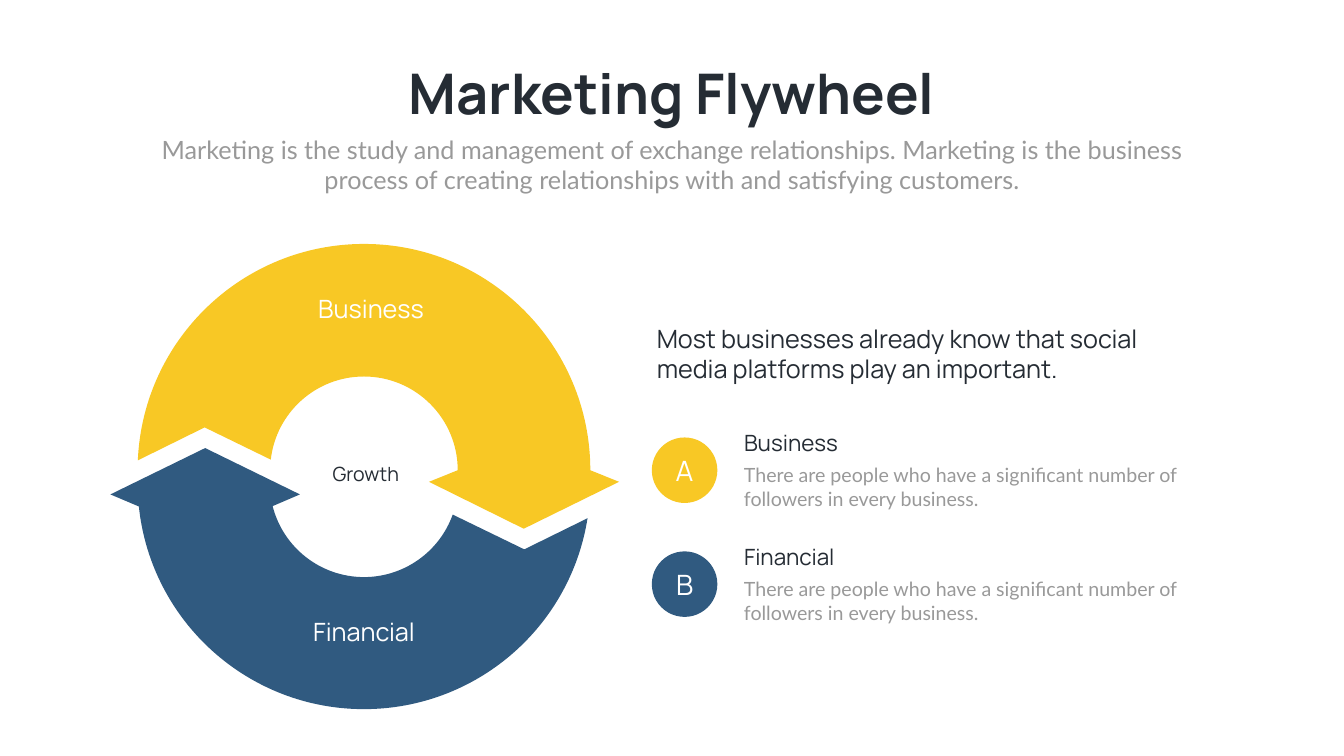
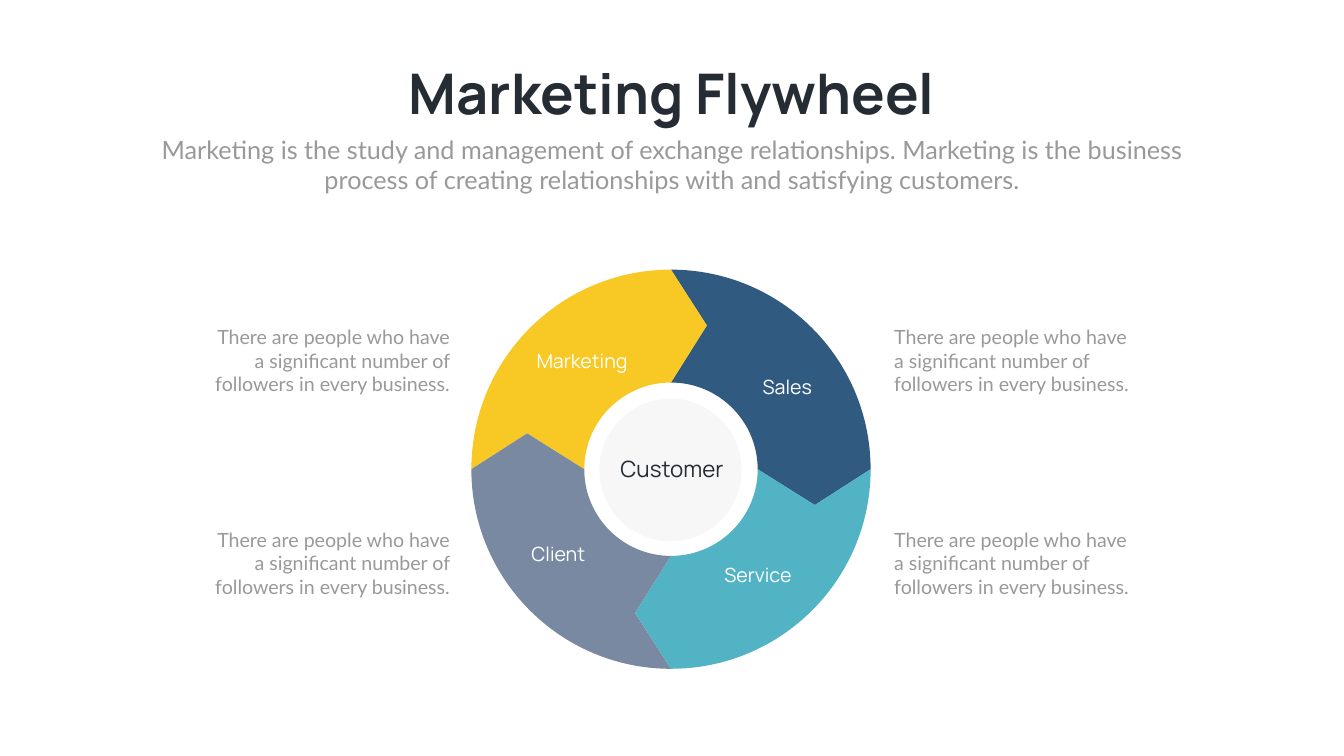
import math
from dataclasses import dataclass
from typing import NamedTuple

import lxml.etree
import pptx
import pptx.dml.color
import pptx.enum.shapes
import pptx.enum.text
import pptx.oxml.ns
import pptx.presentation
import pptx.shapes.autoshape
import pptx.slide
import pptx.text.text
import pptx.util

PX = 9144  # EMU in one px: 100 px to the inch
Align = pptx.enum.text.PP_ALIGN
Anchor = pptx.enum.text.MSO_ANCHOR
AutoSize = pptx.enum.text.MSO_AUTO_SIZE
qn = pptx.oxml.ns.qn


class Style(NamedTuple):
    font: str
    size: int
    color: str
    bold: bool = False


@dataclass(frozen=True)
class Theme:
    yellow: str = "F8C825"
    blue: str = "305A80"
    slate: str = "7989A2"
    teal: str = "52B3C4"
    pale: str = "F2F2F2"
    title: Style = Style("Manrope", 80, "252C34", True)
    subtitle: Style = Style("Lato", 36, "999999")
    lead: Style = Style("Manrope", 36, "252C34")
    heading: Style = Style("Manrope", 32, "252C34")
    small: Style = Style("Manrope", 28, "252C34")
    note: Style = Style("Lato", 28, "999999")
    badge: Style = Style("Manrope", 40, "FFFFFF")
    big_label: Style = Style("Manrope", 36, "FFFFFF")
    label: Style = Style("Manrope", 28, "FFFFFF")


THEME = Theme()
TITLE = "Marketing Flywheel"
SUBTITLE = (
    "Marketing is the study and management of exchange relationships. "
    "Marketing is the business process of creating relationships with and satisfying customers."
)
LEAD = "Most businesses already know that social media platforms play an important."
NOTE = "There are people who have a significant number of followers in every business."


class Box(NamedTuple):
    x: int
    y: int
    w: int
    h: int

    def emu(self) -> list[int]:
        return [v * PX for v in self]


class Point(NamedTuple):
    x: float
    y: float

    def emu(self) -> tuple[int, int]:
        return round(self.x * PX), round(self.y * PX)


class Label(NamedTuple):
    text: str
    box: Box
    style: Style
    align: Align = Align.CENTER


class Arc(NamedTuple):
    radius: int
    start: float
    end: float


class Sector(NamedTuple):
    """A ring piece: outer arc, arrowhead, inner arc back, notch at the tail."""
    color: str
    center: Point
    outer: Arc
    head: list[Point]
    inner: Arc
    notch: Point


class Step(NamedTuple):
    """One outline step: a line, or a curve when it has control points."""
    end: Point
    controls: tuple[Point, ...] = ()


class Item(NamedTuple):
    letter: str
    heading: str
    color: str


def rgb(color: str) -> pptx.dml.color.RGBColor:
    return pptx.dml.color.RGBColor.from_string(color)


def polar(center: Point, radius: float, degrees: float) -> Point:
    """Point on a circle; angles run clockwise from the right."""
    a = math.radians(degrees)
    return Point(center.x + radius * math.cos(a), center.y + radius * math.sin(a))


def arc_steps(center: Point, arc: Arc) -> list[Step]:
    """Bezier curves along the arc, split at the quarter turns."""
    low, high = sorted((arc.start, arc.end))
    angles = [low, *(q for q in range(0, 361, 90) if low < q < high), high]
    if arc.start > arc.end:
        angles.reverse()
    steps = []
    for a, b in zip(angles, angles[1:]):
        pull = 4 / 3 * math.tan(math.radians(b - a) / 4)
        reach, turn = arc.radius * math.hypot(1, pull), math.degrees(math.atan(pull))
        controls = polar(center, reach, a + turn), polar(center, reach, b - turn)
        steps.append(Step(polar(center, arc.radius, b), controls))
    return steps


def set_text(tf: pptx.text.text.TextFrame, text: str, style: Style, align: Align,
             anchor: Anchor = Anchor.TOP) -> None:
    tf.text = text
    tf.word_wrap = True
    tf.vertical_anchor = anchor
    p = tf.paragraphs[0]
    p.alignment = align
    p.space_before = pptx.util.Pt(0)
    font = p.runs[0].font
    font.name, font.size, font.bold = style.font, pptx.util.Pt(style.size), style.bold
    font.color.rgb = rgb(style.color)


def paint(sp: pptx.shapes.autoshape.Shape, color: str) -> None:
    sp.shadow.inherit = False
    sp.fill.solid()
    sp.fill.fore_color.rgb = rgb(color)
    sp.line.fill.background()


def add_label(s: pptx.slide.Slide, label: Label) -> None:
    tf = s.shapes.add_textbox(*label.box.emu()).text_frame
    set_text(tf, label.text, label.style, label.align)
    tf.auto_size = AutoSize.SHAPE_TO_FIT_TEXT


def add_circle(s: pptx.slide.Slide, box: Box, color: str) -> pptx.shapes.autoshape.Shape:
    sp = s.shapes.add_shape(pptx.enum.shapes.MSO_SHAPE.OVAL, *box.emu())
    paint(sp, color)
    return sp


def set_opacity(sp: pptx.shapes.autoshape.Shape, percent: int) -> None:
    clr = next(sp._element.spPr.iter(qn("a:srgbClr")))
    lxml.etree.SubElement(clr, qn("a:alpha"), val=str(percent * 1000))


def bend_lines(sp: pptx.shapes.autoshape.Shape, steps: list[Step]) -> None:
    """Turn the outline's lines into curves where a step has control points."""
    for line, step in zip(list(sp._element.iter(qn("a:lnTo"))), steps):
        if not step.controls:
            continue
        curve = lxml.etree.Element(qn("a:cubicBezTo"))
        for control in step.controls:
            x, y = control.emu()
            lxml.etree.SubElement(curve, qn("a:pt"), x=str(x - sp.left), y=str(y - sp.top))
        curve.append(line[0])
        line.getparent().replace(line, curve)


def add_sector(s: pptx.slide.Slide, sector: Sector) -> None:
    center, outer, inner = sector.center, sector.outer, sector.inner
    steps = [
        *arc_steps(center, outer),
        *map(Step, sector.head),
        Step(polar(center, inner.radius, inner.start)),
        *arc_steps(center, inner),
        Step(sector.notch),
    ]
    builder = s.shapes.build_freeform(*polar(center, outer.radius, outer.start).emu())
    builder.add_line_segments([step.end.emu() for step in steps], close=True)
    sp = builder.convert_to_shape()
    bend_lines(sp, steps)
    paint(sp, sector.color)


def add_titled_slide(prs: pptx.presentation.Presentation) -> pptx.slide.Slide:
    s = prs.slides.add_slide(prs.slide_layouts[0])
    for sp, text, style, box in (
        (s.shapes.title, TITLE, THEME.title, Box(758, 112, 1150, 145)),
        (s.placeholders[1], SUBTITLE, THEME.subtitle, Box(292, 261, 2082, 131)),
    ):
        sp.left, sp.top, sp.width, sp.height = box.emu()
        set_text(sp.text_frame, text, style, Align.CENTER)
        sp.text_frame.auto_size = AutoSize.SHAPE_TO_FIT_TEXT
    s.shapes.title.text_frame.word_wrap = False
    return s


def add_two_part_slide(prs: pptx.presentation.Presentation) -> None:
    s = add_titled_slide(prs)
    sectors = [
        Sector(THEME.blue, Point(722, 958), Arc(449, 9, 174),
               [Point(219, 981), Point(407, 889), Point(595, 981)],
               Arc(187, 165.7, 19.7), Point(1040, 1090)),
        Sector(THEME.yellow, Point(722, 933), Arc(449, 182.5, 360),
               [Point(1228, 956), Point(1039, 1049), Point(851, 956)],
               Arc(186, 360, 186.5), Point(406, 848)),
    ]
    for sector in sectors:
        add_sector(s, sector)
    for label in (
        Label("Business", Box(502, 578, 468, 92), THEME.big_label),
        Label("Financial", Box(488, 1218, 468, 92), THEME.big_label),
        Label("Growth", Box(553, 912, 345, 75), THEME.small),
        Label(LEAD, Box(1293, 637, 1101, 131), THEME.lead, Align.LEFT),
    ):
        add_label(s, label)

    items = [Item("A", "Business", THEME.yellow), Item("B", "Financial", THEME.blue)]
    for i, item in enumerate(items):
        top = 847 + 226 * i
        add_label(s, Label(NOTE, Box(1466, top + 67, 906, 104), THEME.note, Align.LEFT))
        add_label(s, Label(item.heading, Box(1466, top, 278, 64), THEME.heading, Align.LEFT))
        sp = add_circle(s, Box(1293, top + 21, 130, 130), item.color)
        set_text(sp.text_frame, item.letter, THEME.badge, Align.CENTER, Anchor.MIDDLE)


def add_four_part_slide(prs: pptx.presentation.Presentation) -> None:
    s = add_titled_slide(prs)
    set_opacity(add_circle(s, Box(1189, 791, 282, 283), THEME.pale), 60)

    center, outer, inner = Point(1331, 931), 396, 172
    tip_radius, tip_turn = 294, 14
    parts = [(THEME.blue, 270), (THEME.yellow, 180), (THEME.slate, 90), (THEME.teal, 0)]
    for color, start in parts:
        end = start + 90
        add_sector(s, Sector(
            color, center, Arc(outer, start, end),
            [polar(center, tip_radius, end + tip_turn)],
            Arc(inner, end, start), polar(center, tip_radius, start + tip_turn),
        ))

    add_label(s, Label("Customer", Box(1197, 899, 272, 64), THEME.heading))
    for text, x, y in (("Marketing", 1002, 688), ("Sales", 1409, 738),
                       ("Service", 1351, 1112), ("Client", 955, 1071)):
        add_label(s, Label(text, Box(x, y, 305, 57), THEME.label))
    for x, align in ((402, Align.RIGHT), (1764, Align.LEFT)):
        for y in (640, 1042):
            add_label(s, Label(NOTE, Box(x, y, 500, 151), THEME.note, align))


def main() -> None:
    prs = pptx.Presentation()
    prs.slide_width, prs.slide_height = 2666 * PX, 1500 * PX
    add_two_part_slide(prs)
    add_four_part_slide(prs)
    prs.save("out.pptx")


if __name__ == "__main__":
    main()
